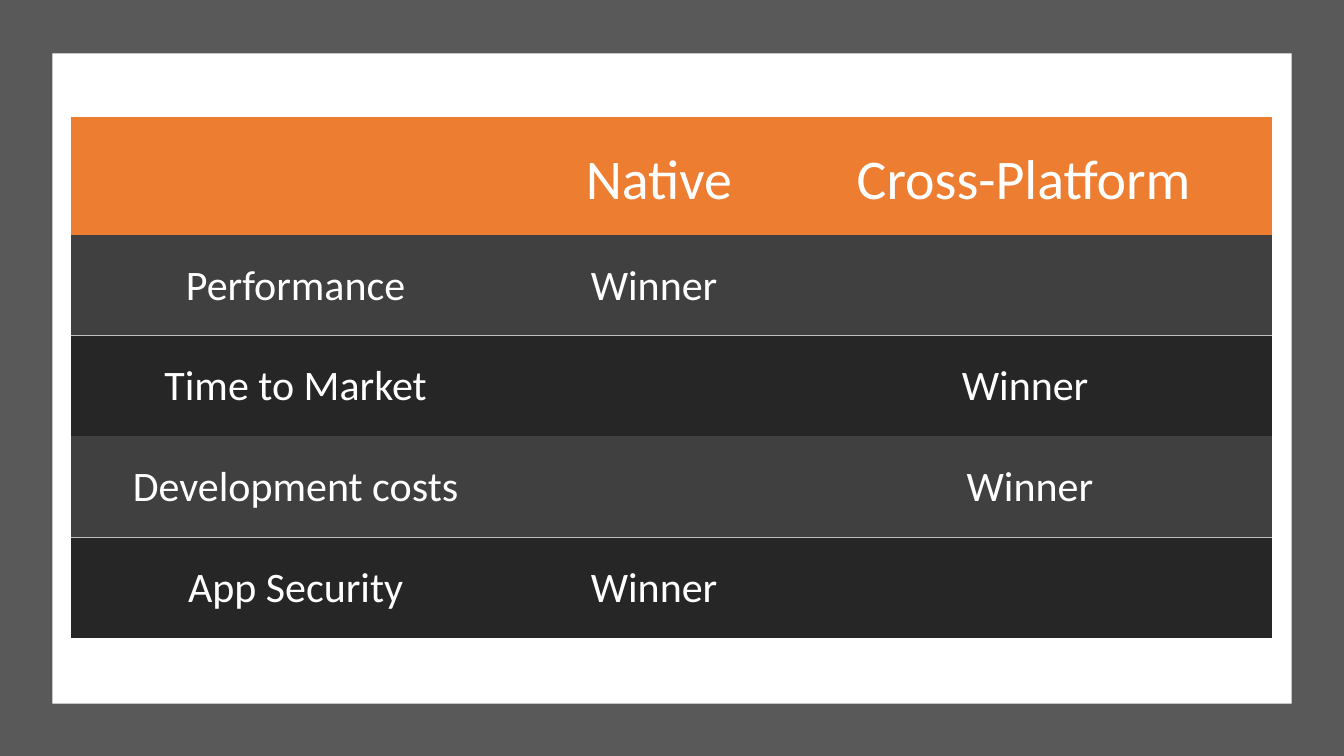
from dataclasses import dataclass

from lxml.etree import SubElement
from pptx import Presentation
from pptx.dml.color import RGBColor
from pptx.enum.shapes import MSO_SHAPE
from pptx.enum.text import MSO_ANCHOR, PP_ALIGN
from pptx.oxml.ns import qn
from pptx.util import Inches, Pt


@dataclass(frozen=True)
class Theme:
    """Colours, font and type sizes of the slide."""
    font: str = "Calibri"
    header_size: int = 40
    body_size: int = 30
    frame: str = "595959"
    panel: str = "FFFFFF"
    text: str = "FFFFFF"
    header: str = "ED7D31"
    odd_row: str = "404040"
    even_row: str = "262626"
    rule: str = "BFBFBF"


THEME = Theme()
PLAIN_TABLE_STYLE = "{2D5ABB26-0587-4C30-8999-92F81FD0307C}"
COLUMN_WIDTHS = (4.56, 2.55, 4.81)
ROW_HEIGHTS = (1.17, 1, 1, 1, 1)
COMPARISON = (
    ("", "Native", "Cross-Platform "),
    ("Performance ", "Winner ", ""),
    ("Time to Market ", "", "Winner "),
    ("Development costs ", "", "Winner"),
    ("App Security ", "Winner ", ""),
)


def add_rectangle(slide, left, top, width, height, color):
    """Add a plain filled rectangle without outline or shadow."""
    shape = slide.shapes.add_shape(
        MSO_SHAPE.RECTANGLE, Inches(left), Inches(top), Inches(width), Inches(height))
    shape.shadow.inherit = False
    shape.fill.solid()
    shape.fill.fore_color.rgb = RGBColor.from_string(color)
    shape.line.fill.background()


def set_borders(cell, ruled_edge):
    """Draw a thin rule on one edge of the cell and clear the other edges."""
    properties = cell._tc.get_or_add_tcPr()
    for edge in ("lnL", "lnR", "lnT", "lnB"):
        line = SubElement(properties, qn(f"a:{edge}"), w=str(Pt(1)))
        if edge == ruled_edge:
            fill = SubElement(line, qn("a:solidFill"))
            SubElement(fill, qn("a:srgbClr"), val=THEME.rule)
        else:
            SubElement(line, qn("a:noFill"))


def format_cell(cell, text, size, color, anchor, ruled_edge):
    """Fill one table cell and format its text."""
    set_borders(cell, ruled_edge)
    cell.fill.solid()
    cell.fill.fore_color.rgb = RGBColor.from_string(color)
    cell.margin_left = cell.margin_right = Inches(0.33)
    cell.margin_top, cell.margin_bottom = Inches(0.25), Inches(0.16)
    cell.vertical_anchor = anchor
    cell.text_frame.text = text
    paragraph = cell.text_frame.paragraphs[0]
    paragraph.alignment = PP_ALIGN.CENTER
    paragraph.font.size = Pt(size)
    for run in paragraph.runs:
        run.font.name = THEME.font
        run.font.size = Pt(size)
        run.font.color.rgb = RGBColor.from_string(THEME.text)


def row_format(row_index):
    """Return size, fill, anchor and ruled edge for a table row."""
    if row_index == 0:
        return THEME.header_size, THEME.header, MSO_ANCHOR.MIDDLE, None
    if row_index % 2:
        return THEME.body_size, THEME.odd_row, MSO_ANCHOR.TOP, "lnB"
    return THEME.body_size, THEME.even_row, MSO_ANCHOR.TOP, "lnT"


def add_comparison_table(slide, left, top):
    """Add the table that compares the two kinds of app."""
    table = slide.shapes.add_table(
        len(ROW_HEIGHTS), len(COLUMN_WIDTHS), Inches(left), Inches(top),
        Inches(sum(COLUMN_WIDTHS)), Inches(sum(ROW_HEIGHTS))).table
    table.first_row = table.horz_banding = False
    table._tbl.tblPr.find(qn("a:tableStyleId")).text = PLAIN_TABLE_STYLE
    for column, width in zip(table.columns, COLUMN_WIDTHS):
        column.width = Inches(width)
    for row_index, texts in enumerate(COMPARISON):
        table.rows[row_index].height = Inches(ROW_HEIGHTS[row_index])
        for column_index, text in enumerate(texts):
            format_cell(table.cell(row_index, column_index), text, *row_format(row_index))


def main():
    """Build and save the slide."""
    presentation = Presentation()
    presentation.slide_width = Inches(13.33)
    presentation.slide_height = Inches(7.5)
    slide = presentation.slides.add_slide(presentation.slide_layouts[6])
    add_rectangle(slide, 0, 0, 13.33, 7.5, THEME.frame)
    add_rectangle(slide, 0.52, 0.53, 12.29, 6.45, THEME.panel)
    add_comparison_table(slide, 0.7, 1.16)
    presentation.save("out.pptx")


if __name__ == "__main__":
    main()
